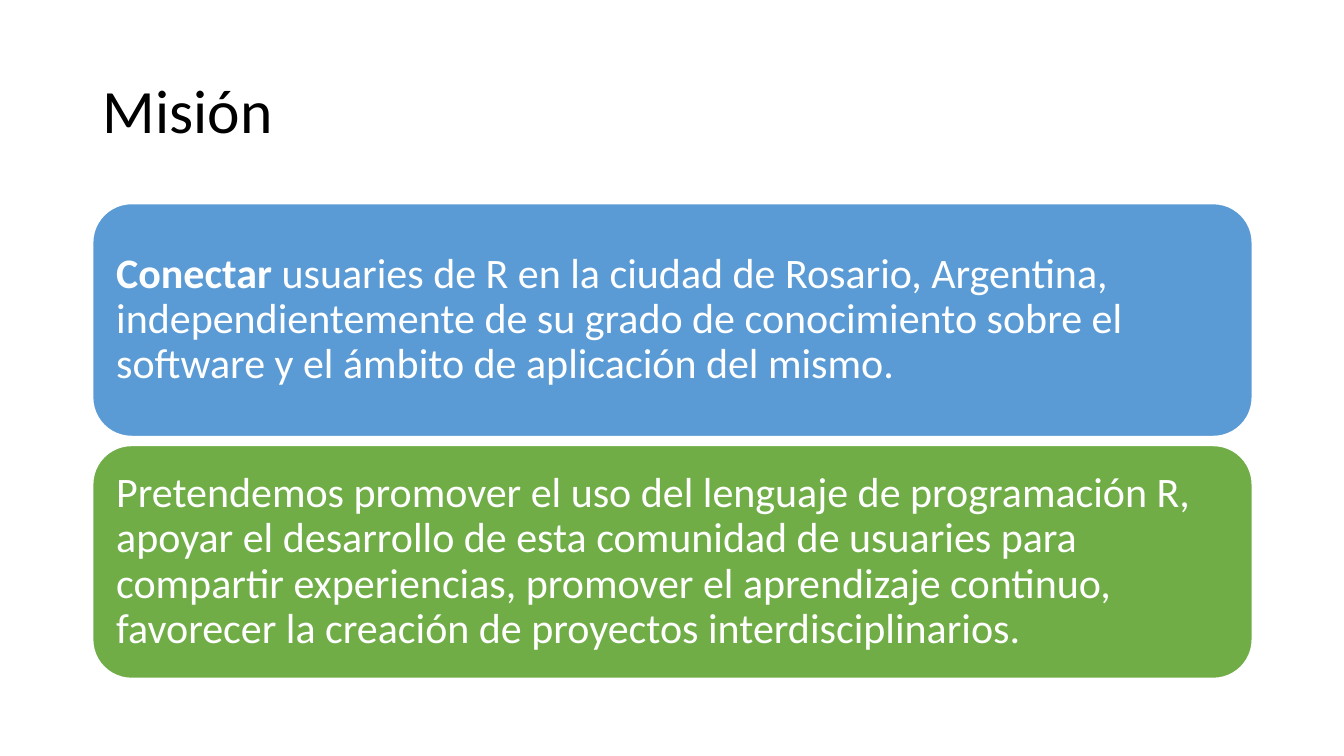
"""Build the mission slide: a title above two rounded statement panels."""
from pptx import Presentation, util as u
from pptx.dml.color import RGBColor
from pptx.enum import shapes, text

COLOURS = {"title": "000000", "connect": "5B9BD5", "promote": "70AD47", "white": "FFFFFF"}

deck = Presentation()
deck.slide_width, deck.slide_height = u.Inches(13.33), u.Inches(7.5)
slide = deck.slides.add_slide(deck.slide_layouts[6])

LEFT, WIDTH = u.Inches(0.92), u.Inches(11.5)
PANEL_TOP, PANEL_HEIGHT, PANEL_PITCH = u.Inches(2.02), u.Inches(2.31), u.Inches(2.4)


def write(frame, runs, size, colour):
    frame.word_wrap = True
    frame.vertical_anchor = text.MSO_ANCHOR.MIDDLE
    paragraph = frame.paragraphs[0]
    paragraph.alignment = text.PP_ALIGN.LEFT
    paragraph.line_spacing = 0.9
    for words, bold in runs:
        run = paragraph.add_run()
        run.text = words
        run.font.name, run.font.size, run.font.bold = "Calibri", u.Pt(size), bold
        run.font.color.rgb = RGBColor.from_string(COLOURS[colour])


title = slide.shapes.add_textbox(LEFT, u.Inches(0.4), WIDTH, u.Inches(1.45))
write(title.text_frame, [("Misión", False)], 44, "title")

statements = [
    ("connect", [
        ("Conectar", True),
        (" usuaries de R en la ciudad de Rosario, Argentina, independientemente de su grado "
         "de conocimiento sobre el software y el ámbito de aplicación del mismo.", False),
    ]),
    ("promote", [
        ("Pretendemos promover el uso del lenguaje de programación R, apoyar el desarrollo de "
         "esta comunidad de usuaries para compartir experiencias, promover el aprendizaje "
         "continuo, favorecer la creación de proyectos interdisciplinarios.", False),
    ]),
]

for row, (fill, runs) in enumerate(statements):
    panel = slide.shapes.add_shape(shapes.MSO_SHAPE.ROUNDED_RECTANGLE, LEFT,
                                   PANEL_TOP + row * PANEL_PITCH, WIDTH, PANEL_HEIGHT)
    panel.shadow.inherit = False
    panel.fill.solid()
    panel.fill.fore_color.rgb = RGBColor.from_string(COLOURS[fill])
    panel.line.color.rgb = RGBColor.from_string(COLOURS["white"])
    panel.line.width = u.Pt(1)
    frame = panel.text_frame
    frame.margin_left = frame.margin_right = u.Inches(0.12)
    frame.margin_top = frame.margin_bottom = u.Inches(0.12)
    write(frame, runs, 30, "white")

deck.save("out.pptx")
